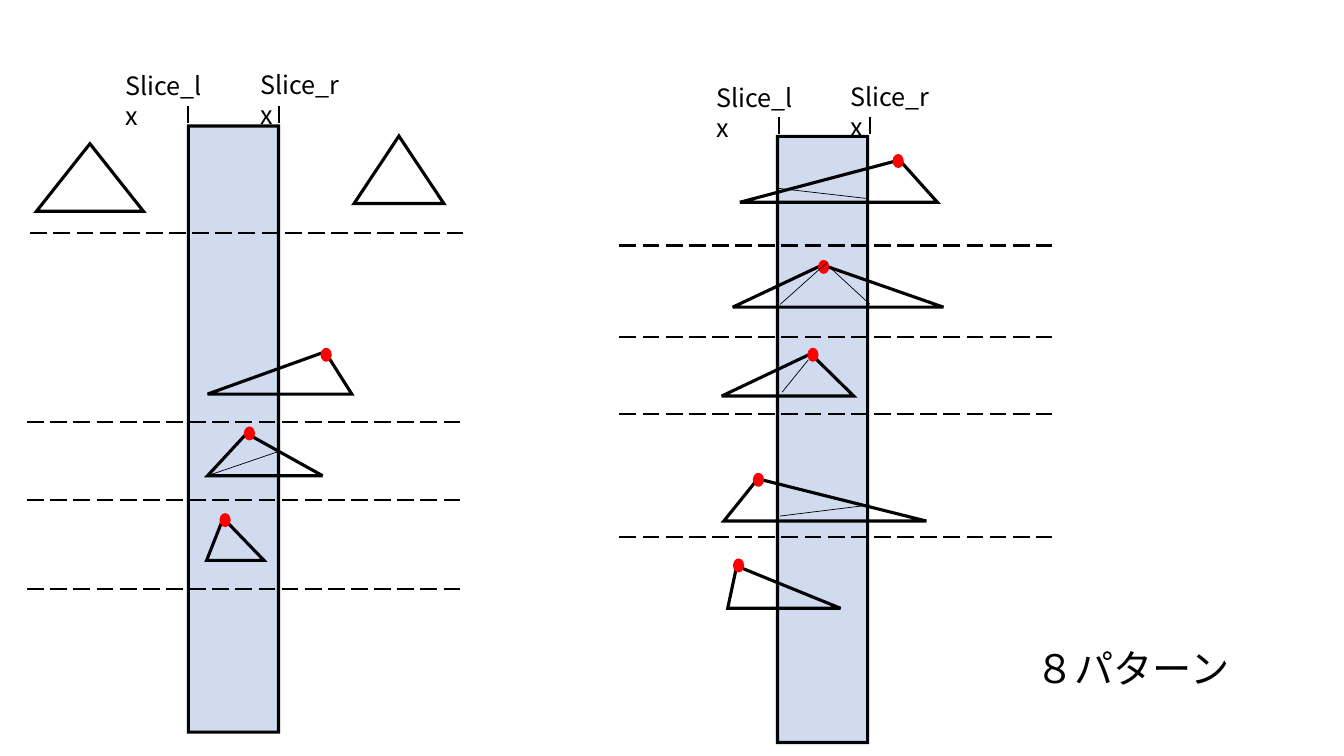
from lxml.etree import SubElement
from pptx import Presentation
from pptx.dml.color import RGBColor
from pptx.enum.dml import MSO_LINE
from pptx.enum.shapes import MSO_CONNECTOR, MSO_SHAPE
from pptx.oxml.ns import qn
from pptx.util import Pt

COLORS = {"ink": "000000", "band": "4472C4", "dot": "FF0000"}
FONT = "Noto Sans CJK JP"


class Board:
    def __init__(self, slide):
        self.shapes = slide.shapes
        self.edge = 2.25

    def color(self, name):
        return RGBColor.from_string(COLORS[name])

    def fade(self, parent, percent):
        """Set the opacity of the solid fill inside an element."""
        tint = parent.find(qn("a:solidFill"))[0]
        SubElement(tint, qn("a:alpha")).set("val", str(percent * 1000))

    def shape(self, kind, x, y, w, h, fill=None, alpha=None, edge=True):
        item = self.shapes.add_shape(kind, Pt(x), Pt(y), Pt(w), Pt(h))
        item.shadow.inherit = False
        props = item.element.spPr
        if fill:
            item.fill.solid()
            item.fill.fore_color.rgb = self.color(fill)
            if alpha:
                self.fade(props, alpha)
        else:
            item.fill.background()
        if edge:
            item.line.color.rgb = self.color("ink")
            item.line.width = Pt(self.edge)
            outline = props.find(qn("a:ln"))
            self.fade(outline, 98)
            SubElement(outline, qn("a:miter")).set("lim", "800000")
        else:
            item.line.fill.background()
        return item

    def peak(self, x, y, w, h, tip=0.5):
        item = self.shape(MSO_SHAPE.ISOSCELES_TRIANGLE, x, y, w, h)
        item.adjustments[0] = tip

    def dot(self, x, y):
        w, h = 8, 10
        self.shape(MSO_SHAPE.OVAL, x - w / 2, y - h / 2, w, h, "dot", edge=False)

    def line(self, x1, y1, x2, y2, width=1.5, dash=MSO_LINE.LONG_DASH):
        item = self.shapes.add_connector(
            MSO_CONNECTOR.STRAIGHT, Pt(x1), Pt(y1), Pt(x2), Pt(y2))
        item.line.color.rgb = self.color("ink")
        style = {"width": Pt(width), "dash_style": dash}
        for key, value in style.items():
            setattr(item.line, key, value)
        SubElement(item.element.spPr, qn("a:effectLst"))

    def text(self, words, x, y, w, h, size):
        frame = self.shapes.add_textbox(Pt(x), Pt(y), Pt(w), Pt(h)).text_frame
        frame.word_wrap = True
        run = frame.paragraphs[0].add_run()
        run.text = words
        style = {"size": Pt(size), "name": FONT}
        for key, value in style.items():
            setattr(run.font, key, value)
        run.font.color.rgb = self.color("ink")
        SubElement(run.font._element, qn("a:ea")).set("typeface", FONT)


deck = Presentation()
deck.slide_width, deck.slide_height = Pt(960), Pt(540)
board = Board(deck.slides.add_slide(deck.slide_layouts[6]))

BAND_W, BAND_H = 64.4, 433
RULE_W, PEAK_H = 308.9, 30.2

# Each panel: band corner, tick and label starts, dashed rules,
# triangles that cross the band, and the dots on their tips
panels = [
    {"band": (134.6, 90), "tick": (134.4, 75.7), "label": (82.7, 46.6),
     "rules": [(21.6, 166.3), (19.4, 301.7), (19.4, 357.1), (19.4, 420.5)],
     "peaks": [(148.3, 251.3, 103, 0.815), (148.3, 309.6, 82.1, 0.34),
               (147.6, 370.1, 41, 0.29)],
     "dots": [(233, 253.4), (178.2, 309.6), (160.8, 371.5)]},
    {"band": (555.4, 97.4), "tick": (556.6, 83.6), "label": (504.4, 55.2),
     "rules": [(442.5, y) for y in (175.4, 240.5, 295.7, 383.8)],
     "peaks": [(528.5, 114.3, 141.1, 0.808), (523.4, 189.2, 150.5, 0.426),
               (515.5, 252.7, 94.3, 0.675), (517, 342, 144.7, 0.168),
               (519.8, 404.3, 80.6, 0.08)],
     "dots": [(641.6, 115), (588.4, 190.6), (580.7, 253.4), (541.8, 342.7),
              (527.6, 403.9)]},
]

# Triangles outside the band
board.peak(26.1, 102.7, 76.3, 48.2)
board.peak(252.9, 97.2, 64.1, 48.2)

for panel in panels:
    board.shape(MSO_SHAPE.RECTANGLE, *panel["band"], BAND_W, BAND_H, "band", 25)
    for x, y in panel["rules"]:
        board.line(x, y, x + RULE_W, y)
    for x, y, w, tip in panel["peaks"]:
        board.peak(x, y, w, PEAK_H, tip)
    for spot in panel["dots"]:
        board.dot(*spot)
    # Slice labels and ticks
    x, y = panel["label"]
    board.text("Slice_lx", x, y, 75, 29, 18)
    board.text("Slice_rx", x + 96, y - 0.5, 77, 29, 18)
    x, y = panel["tick"]
    for side in (x, x + 64.8):
        board.line(side, y, side, y + 12.2)

# Thin cuts inside the bands
cuts = [
    (148.3, 339.8, 198.7, 322.6), (619.2, 141.8, 556.6, 134.6),
    (591.1, 187.2, 557.3, 217.4), (621.4, 217.4, 591.8, 190.1),
    (577.4, 257, 558.7, 280.1), (621.4, 360.7, 557.3, 368.6),
]
for cut in cuts:
    board.line(*cut, width=0.5, dash=None)

# Pattern count
board.text("８パターン", 732.5, 456.5, 157, 41, 28)

deck.save("out.pptx")
